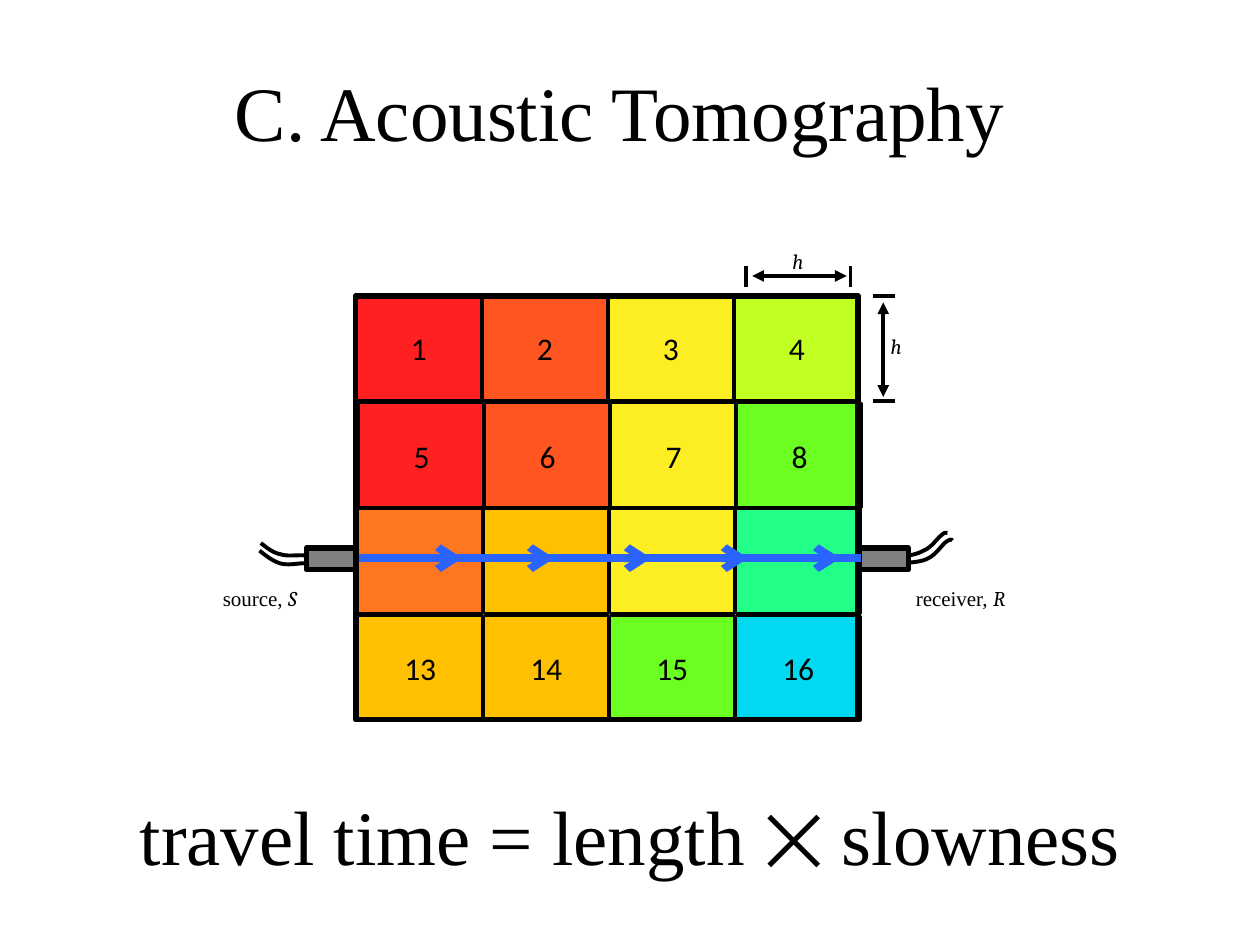
from lxml.etree import SubElement
from pptx import Presentation
from pptx.dml.color import RGBColor
from pptx.enum.shapes import MSO_CONNECTOR, MSO_SHAPE
from pptx.enum.text import MSO_ANCHOR, PP_ALIGN
from pptx.oxml.ns import qn
from pptx.util import Inches, Pt

COLORS = {
    "black": "000000", "grey": "808080", "ray": "2B63FF",
    "red": "FF2121", "vermilion": "FF5621", "orange": "FF7621",
    "amber": "FFC000", "yellow": "FDED23", "lime": "C0FF21",
    "green": "6BFF21", "mint": "22FE86", "cyan": "00D9F0",
}
COLORS = {name: RGBColor.from_string(value) for name, value in COLORS.items()}
SERIF, MATH = "Times New Roman", "Cambria"


def write(shape, runs, size, align=PP_ALIGN.LEFT, anchor=MSO_ANCHOR.TOP):
    """Fill a shape with one paragraph of (text, font name, italic) runs."""
    frame = shape.text_frame
    frame.word_wrap = True
    frame.vertical_anchor = anchor
    para = frame.paragraphs[0]
    para.alignment = align
    for text, font_name, italic in runs:
        span = para.add_run()
        span.text = text
        span.font.name = font_name
        span.font.size = Pt(size)
        span.font.italic = italic
        span.font.color.rgb = COLORS["black"]


def add_line(start, end, color="black", width=2.25, head=None, tail=None):
    line = slide.shapes.add_connector(
        MSO_CONNECTOR.STRAIGHT, *(Inches(v) for v in (*start, *end)))
    line.line.color.rgb = COLORS[color]
    line.line.width = Pt(width)
    for tag, kind in (("a:headEnd", head), ("a:tailEnd", tail)):
        if kind:
            SubElement(line.line._get_or_add_ln(), qn(tag), type=kind)
    SubElement(line._element.spPr, qn("a:effectLst"))


deck = Presentation()
deck.slide_width, deck.slide_height = Inches(10), Inches(7.5)
slide = deck.slides.add_slide(deck.slide_layouts[5])

title = slide.shapes.title
title.left, title.top = Inches(0.42), Inches(0.25)
title.width, title.height = Inches(9), Inches(1.25)
write(title, [("C. Acoustic Tomography", SERIF, False)], 44,
      PP_ALIGN.CENTER, MSO_ANCHOR.MIDDLE)

# Wires: each is a chain of cubic curves, drawn as short straight steps
wires = [
    [(2.07, 4.31), (2.12, 4.35), (2.17, 4.39), (2.23, 4.40), (2.29, 4.42),
     (2.38, 4.40), (2.42, 4.41), (2.46, 4.41), (2.46, 4.42), (2.46, 4.43)],
    [(2.06, 4.37), (2.11, 4.41), (2.16, 4.45), (2.22, 4.47), (2.28, 4.49),
     (2.37, 4.47), (2.41, 4.47), (2.45, 4.48), (2.45, 4.49), (2.45, 4.49)],
    [(7.15, 4.42), (7.21, 4.41), (7.28, 4.40), (7.33, 4.37), (7.39, 4.35),
     (7.44, 4.27), (7.47, 4.25), (7.50, 4.22), (7.51, 4.23), (7.52, 4.23)],
    [(7.19, 4.47), (7.25, 4.46), (7.32, 4.46), (7.37, 4.43), (7.43, 4.40),
     (7.48, 4.32), (7.51, 4.30), (7.54, 4.28), (7.55, 4.28), (7.56, 4.29)],
]
STEPS = 8
for points in wires:
    curve = []
    for first in range(0, len(points) - 1, 3):
        controls = points[first:first + 4]
        for step in range(1, STEPS + 1):
            t = step / STEPS
            weights = ((1 - t) ** 3, 3 * t * (1 - t) ** 2, 3 * t ** 2 * (1 - t), t ** 3)
            curve.append(tuple(
                Inches(sum(w * p[axis] for w, p in zip(weights, controls)))
                for axis in (0, 1)))
    builder = slide.shapes.build_freeform(*(Inches(v) for v in points[0]))
    builder.add_line_segments(curve, close=False)
    wire = builder.convert_to_shape()
    wire.shadow.inherit = False
    wire.fill.background()
    wire.line.color.rgb = COLORS["black"]
    wire.line.width = Pt(2.25)

# Rectangles: receiver and source, the grid of cells, then the outer frame
boxes = [(6.79, 4.35, 0.42, 0.17, "grey", 3, ""),
         (2.43, 4.35, 0.42, 0.17, "grey", 3, "")]
rows = [
    (2.83, 2.35, ["red", "vermilion", "yellow", "lime"]),
    (2.85, 3.20, ["red", "vermilion", "yellow", "green"]),
    (2.84, 4.04, ["orange", "amber", "yellow", "mint"]),
    (2.84, 4.89, ["amber", "amber", "green", "cyan"]),
]
RAY_ROW = 2
for row, (left, top, fills) in enumerate(rows):
    for column, fill in enumerate(fills):
        number = "" if row == RAY_ROW else str(row * 4 + column + 1)
        boxes.append((left + column, top, 0.99, 0.83, fill, 1.5, number))
boxes.append((2.82, 2.35, 3.99, 3.36, None, 3, ""))

for left, top, width, height, fill, line_width, number in boxes:
    box = slide.shapes.add_shape(
        MSO_SHAPE.RECTANGLE, Inches(left), Inches(top), Inches(width), Inches(height))
    box.shadow.inherit = False
    if fill:
        box.fill.solid()
        box.fill.fore_color.rgb = COLORS[fill]
    else:
        box.fill.background()
    box.line.color.rgb = COLORS["black"]
    box.line.width = Pt(line_width)
    if number:
        write(box, [(number, "Calibri", False)], 18, PP_ALIGN.CENTER, MSO_ANCHOR.MIDDLE)

# Ray from source to receiver
RAY_Y = 4.43
for start, end, tail in [(2.85, 3.67, "arrow"), (3.58, 4.40, "arrow"),
                         (4.35, 5.17, "arrow"), (5.12, 5.94, "arrow"),
                         (5.67, 6.67, "arrow"), (6.58, 6.83, None)]:
    add_line((start, RAY_Y), (end, RAY_Y), "ray", 4.5, tail=tail)

# Cell size dimensions
add_line((7.01, 2.40), (7.01, 3.15), head="triangle", tail="triangle")
for y in (2.35, 3.18):
    add_line((6.93, y), (7.10, y))
add_line((5.97, 2.19), (6.72, 2.19), head="triangle", tail="triangle")
for x in (5.92, 6.75):
    add_line((x, 2.28), (x, 2.11))

labels = [
    (6.97, 2.60, 0.25, [("h", MATH, True)]),
    (6.19, 1.92, 0.25, [("h", MATH, True)]),
    (1.67, 4.60, 0.92, [("source, ", SERIF, False), ("S", MATH, True)]),
    (7.17, 4.60, 1.08, [("receiver, ", SERIF, False), ("R", MATH, True)]),
]
for left, top, width, runs in labels:
    label = slide.shapes.add_textbox(Inches(left), Inches(top), Inches(width), Inches(0.3))
    write(label, runs, 12)

formula = slide.shapes.add_textbox(Inches(0.5), Inches(6), Inches(9), Inches(1.25))
write(formula, [("travel time = length ", SERIF, False), ("⨉", MATH, False),
                (" slowness", SERIF, False)], 44, PP_ALIGN.CENTER, MSO_ANCHOR.MIDDLE)

deck.save("out.pptx")
